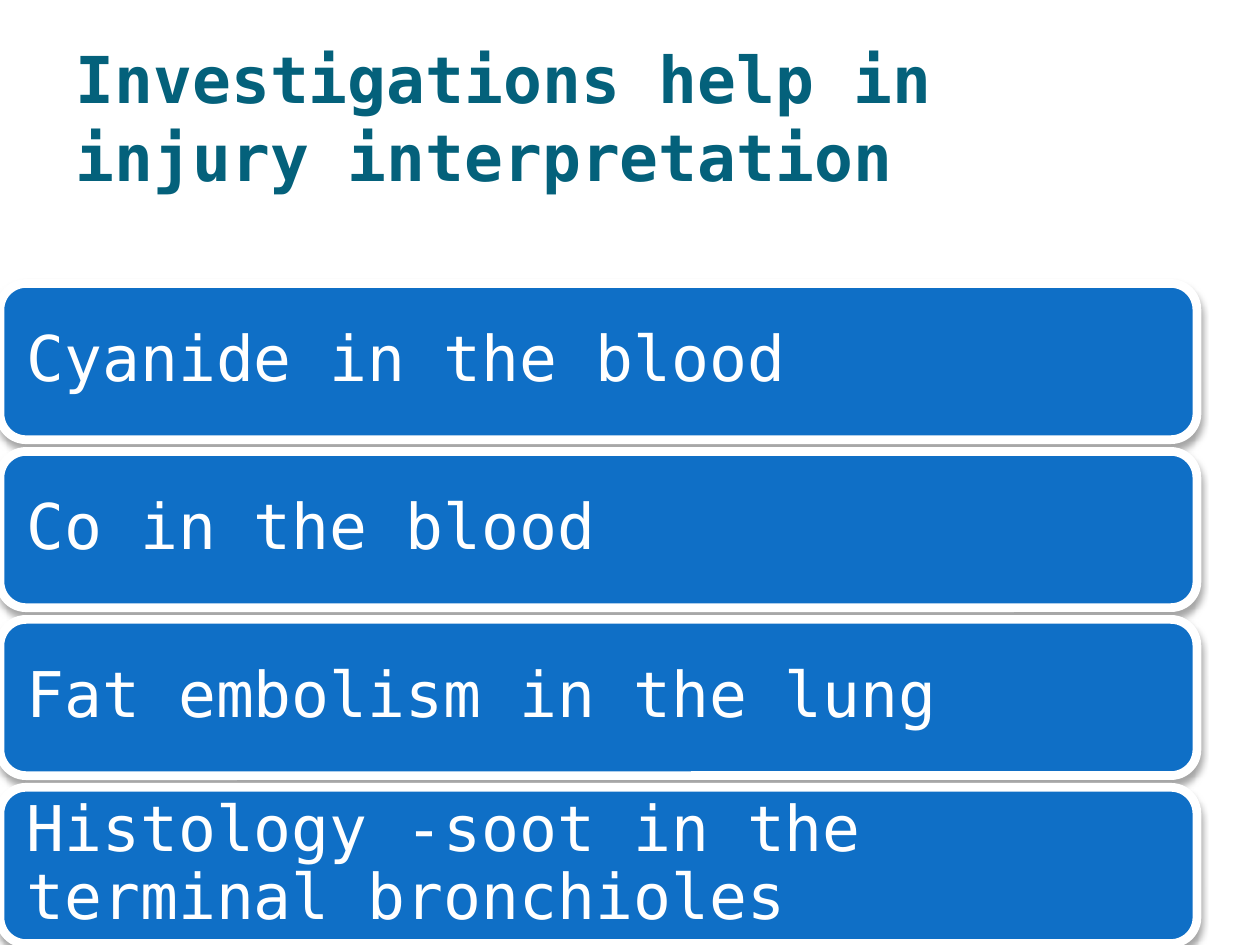
"""Build a slide listing investigations that help in injury interpretation."""
import pptx
import pptx.dml.color
import pptx.enum.shapes
import pptx.enum.text
import pptx.oxml
import pptx.oxml.ns
import pptx.util
from pptx.util import Inches

TITLE = "Investigations help in injury interpretation"
INVESTIGATIONS = [
    "Cyanide in the blood",
    "Co in the blood",
    "Fat embolism in the lung",
    "Histology -soot in the terminal bronchioles",
]
FONT = "DejaVu Sans Mono"
TEAL, BLUE, WHITE = "04617B", "0F6FC6", "FFFFFF"
BAR_TOP, BAR_WIDTH, BAR_HEIGHT, BAR_PITCH = 2.25, 9.5, 1.24, 1.333
SHADOW = (
    f'<a:outerShdw {pptx.oxml.ns.nsdecls("a")} blurRad="50800" dist="38100" '
    'dir="5400000" rotWithShape="0"><a:srgbClr val="000000">'
    '<a:alpha val="35000"/></a:srgbClr></a:outerShdw>'
)


def color(value):
    return pptx.dml.color.RGBColor.from_string(value)


def write(frame, text, size, ink, bold=False):
    frame.word_wrap = True
    frame.auto_size = pptx.enum.text.MSO_AUTO_SIZE.NONE
    frame.vertical_anchor = pptx.enum.text.MSO_ANCHOR.MIDDLE
    paragraph = frame.paragraphs[0]
    paragraph.alignment = pptx.enum.text.PP_ALIGN.LEFT
    run = paragraph.add_run()
    run.text = text
    run.font.name = FONT
    run.font.size = pptx.util.Pt(size)
    run.font.bold = bold
    run.font.color.rgb = color(ink)
    return paragraph


def add_bar(slide, top, text):
    shape = slide.shapes.add_shape(
        pptx.enum.shapes.MSO_SHAPE.ROUNDED_RECTANGLE,
        0, Inches(top), Inches(BAR_WIDTH), Inches(BAR_HEIGHT))
    shape.fill.solid()
    shape.fill.fore_color.rgb = color(BLUE)
    shape.line.color.rgb = color(WHITE)
    shape.line.width = pptx.util.Pt(5)
    shape.shadow.inherit = False
    effects = shape._element.spPr.find(pptx.oxml.ns.qn("a:effectLst"))
    effects.append(pptx.oxml.parse_xml(SHADOW))
    frame = shape.text_frame
    frame.margin_left = frame.margin_right = Inches(0.15)
    frame.margin_top = frame.margin_bottom = Inches(0.15)
    write(frame, text, 36, WHITE).line_spacing = 0.9


def main():
    presentation = pptx.Presentation()
    presentation.slide_width, presentation.slide_height = Inches(10), Inches(7.5)
    slide = presentation.slides.add_slide(presentation.slide_layouts[5])
    title = slide.shapes.title
    title.left, title.top = Inches(0.5), Inches(0.3)
    title.width, title.height = Inches(9), Inches(1.25)
    write(title.text_frame, TITLE, 36.9, TEAL, bold=True)
    for index, text in enumerate(INVESTIGATIONS):
        add_bar(slide, BAR_TOP + index * BAR_PITCH, text)
    presentation.save("out.pptx")


if __name__ == "__main__":
    main()
